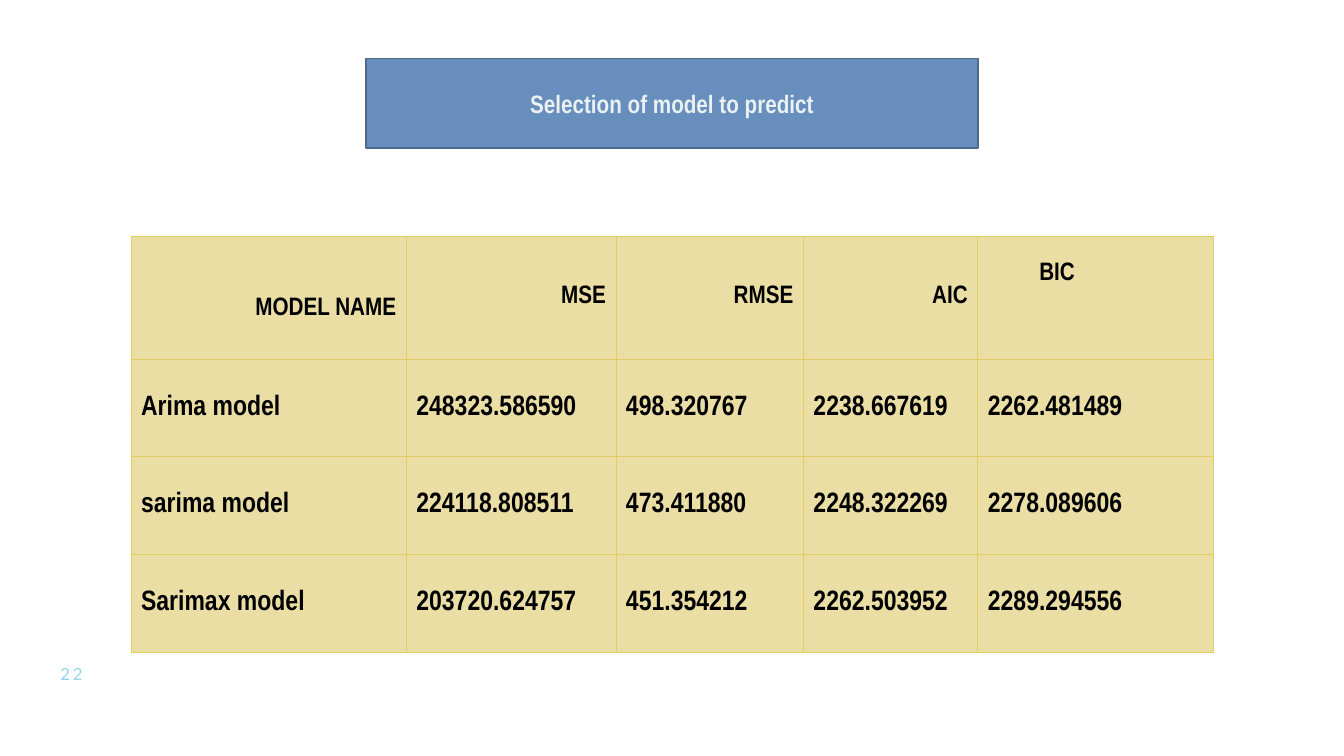
"""Build the slide that compares forecast models by error and fit."""
from lxml.etree import SubElement as Sub
from pptx import Presentation
from pptx.dml.color import RGBColor as Rgb
from pptx.enum.text import MSO_ANCHOR as Anchor, PP_ALIGN as Align
from pptx.oxml.ns import qn
from pptx.util import Inches, Pt

HUES = {"ink": "000000", "sand": "EBDEA5", "gold": "E0CE61", "blue": "688EBD",
        "edge": "4D698C", "pale": "E9F1F3", "sky": "96D3ED"}
COLS = [20.48, 15.6, 13.95, 12.98, 17.55]
ROWS = [16.27, 12.93, 12.93, 12.93]
HEAD = ["MODEL NAME", "MSE", "RMSE", "AIC", "BIC"]
DATA = [
    ["Arima model", "248323.586590", "498.320767", "2238.667619", "2262.481489"],
    ["sarima model", "224118.808511", "473.411880", "2248.322269", "2278.089606"],
    ["Sarimax model", "203720.624757", "451.354212", "2262.503952", "2289.294556"],
]
INSETS = {
    "MODEL NAME": {"margin_top": Inches(0.29)},
    "BIC": {"margin_top": Inches(0.26), "margin_left": Inches(0.61),
            "vertical_anchor": Anchor.TOP},
}


def put(item, vals):
    for key, val in vals.items():
        setattr(item, key, val)


class Deck:
    """Hold the style and slide; lengths are percent shares of its size."""

    def __init__(self):
        self.prs = Presentation()
        put(self.prs, {"slide_width": Inches(13.33), "slide_height": Inches(7.5)})
        self.slide = self.prs.slides.add_slide(self.prs.slide_layouts[5])

    def wide(self, share):
        return round(self.prs.slide_width * share / 100)

    def high(self, share):
        return round(self.prs.slide_height * share / 100)

    def box(self, left, top, width, height):
        return self.wide(left), self.high(top), self.wide(width), self.high(height)

    def label(self, frame, text, hue, align, **font):
        para = frame.paragraphs[0]
        para.alignment = align
        run = para.add_run()
        run.text = text
        put(run.font, {"name": "Arial Narrow", "bold": True, **font})
        run.font.color.rgb = Rgb.from_string(HUES[hue])
        return run

    def title(self, text, *area):
        shape = self.slide.shapes.title
        put(shape, dict(zip(("left", "top", "width", "height"), self.box(*area))))
        shape.fill.solid()
        shape.fill.fore_color.rgb = Rgb.from_string(HUES["blue"])
        shape.line.color.rgb = Rgb.from_string(HUES["edge"])
        shape.line.width = Pt(1)
        shape.text_frame.vertical_anchor = Anchor.MIDDLE
        self.label(shape.text_frame, text, "pale", Align.CENTER, size=Pt(18))

    def number(self, text, *area):
        frame = self.slide.shapes.add_textbox(*self.box(*area)).text_frame
        put(frame, {"word_wrap": True, "vertical_anchor": Anchor.MIDDLE,
                    "margin_left": 0, "margin_right": 0,
                    "margin_top": 0, "margin_bottom": 0})
        run = self.label(frame, text, "sky", Align.CENTER,
                         name="Lato", bold=False, size=Pt(12))
        run.font._element.set("spc", "200")

    def cell(self, cell, text, head):
        props = cell._tc.get_or_add_tcPr()
        for side in ("lnL", "lnR", "lnT", "lnB"):
            line = Sub(props, qn(f"a:{side}"), w=str(int(Pt(0.5))))
            Sub(Sub(line, qn("a:solidFill")), qn("a:srgbClr"), val=HUES["gold"])
        cell.fill.solid()
        cell.fill.fore_color.rgb = Rgb.from_string(HUES["sand"])
        put(cell, {"vertical_anchor": Anchor.MIDDLE, **INSETS.get(text, {})})
        align = Align.RIGHT if head and text != "BIC" else Align.LEFT
        self.label(cell.text_frame, text, "ink", align, size=Pt(18 if head else 20))

    def table(self, rows, left, top):
        area = self.box(left, top, sum(COLS), sum(ROWS))
        table = self.slide.shapes.add_table(len(ROWS), len(COLS), *area).table
        for col, share in zip(table.columns, COLS):
            col.width = self.wide(share)
        for row, share in zip(table.rows, ROWS):
            row.height = self.high(share)
        for r, row in enumerate(rows):
            for c, text in enumerate(row):
                self.cell(table.cell(r, c), text, r == 0)


def main():
    deck = Deck()
    deck.number("22", 3.45, 87.73, 3.75, 2.67)
    deck.title("Selection of model to predict", 27.23, 7.73, 45.54, 11.87)
    deck.table([HEAD, *DATA], 9.75, 31.2)
    deck.prs.save("out.pptx")


if __name__ == "__main__":
    main()
